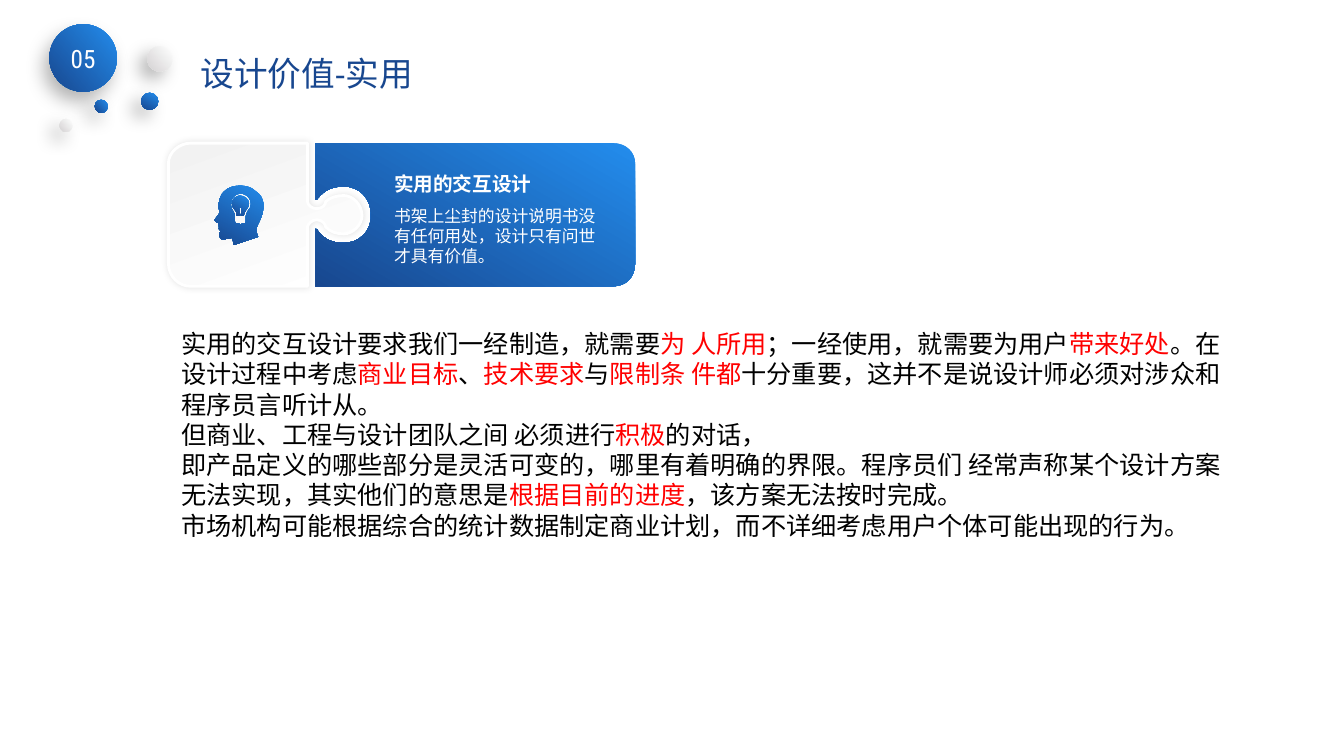
from lxml import etree
from pptx import Presentation
from pptx.dml.color import RGBColor
from pptx.enum import shapes, text
from pptx.oxml.ns import qn
from pptx.util import Inches, Pt

COLORS = {
    "sky": "238DED", "navy": "18478F", "white": "FFFFFF", "silver": "D4D2D3",
    "mist": "F2F2F2", "black": "000000", "red": "FF0000",
}
BLUE, GREY, PALE = ("sky", "navy"), ("white", "silver"), ("white", "mist")
CJK_FONT = "Noto Sans CJK SC"

prs = Presentation()
prs.slide_width, prs.slide_height = Inches(13.33), Inches(7.5)
s = prs.slides.add_slide(prs.slide_layouts[6])


def paint(sp, gradient, angle, shadow=None):
    """Gradient fill at a clockwise angle; shadow is (opacity %, blur pt, distance pt, direction)."""
    sp.shadow.inherit = False
    sp.line.fill.background()
    sp.fill.gradient()
    sp.fill.gradient_angle = 360 - angle
    for stop, name, position in zip(sp.fill.gradient_stops, gradient, (0, 1)):
        stop.color.rgb = RGBColor.from_string(COLORS[name])
        stop.position = position
    if shadow:
        opacity, blur, distance, direction = shadow
        effects = sp._element.spPr.find(qn("a:effectLst"))
        outer = etree.SubElement(effects, qn("a:outerShdw"), blurRad=str(Pt(blur)),
                                 dist=str(Pt(distance)), dir=str(direction * 60000),
                                 algn="ctr", rotWithShape="0")
        color = etree.SubElement(outer, qn("a:srgbClr"), val=COLORS["black"])
        etree.SubElement(color, qn("a:alpha"), val=str(opacity * 1000))


def add_outline(*contours):
    """Draw closed contours; two numbers make a line, six a Bezier curve."""
    x, y = contours[0][0]
    builder = s.shapes.build_freeform(Inches(x), Inches(y), scale=1.0)
    for i, (start, *segments) in enumerate(contours):
        if i:
            builder.move_to(*map(Inches, start))
        points = [seg[k:k + 2] for seg in segments for k in range(0, len(seg), 2)]
        builder.add_line_segments([tuple(map(Inches, pt)) for pt in points], close=True)
    sp = builder.convert_to_shape()
    lines = sp._element.iter(qn("a:lnTo"))
    steps = iter(list(lines))
    for seg in (seg for contour in contours for seg in contour[1:]):
        step = next(steps)
        if len(seg) == 6:
            curve = etree.Element(qn("a:cubicBezTo"))
            step.addprevious(curve)
            for corner in (step, next(steps), next(steps)):
                curve.append(corner[0])
                corner.getparent().remove(corner)
    return sp


# Corner dots, the first one carrying the section number
dots = []
for left, top, size, gradient, angle, shadow in [
    (0.49, 0.24, 0.67, BLUE, 140, (30, 14, 8, 120)),
    (1.46, 0.46, 0.25, GREY, 140, (30, 13, 8, 135)),
    (0.59, 1.18, 0.13, GREY, 140, (30, 13, 8, 135)),
    (0.94, 0.99, 0.13, BLUE, 140, (30, 13, 8, 135)),
    (1.40, 0.92, 0.17, BLUE, 120, (30, 13, 8, 135)),
]:
    dot = s.shapes.add_shape(shapes.MSO_SHAPE.OVAL, Inches(left), Inches(top),
                             Inches(size), Inches(size))
    paint(dot, gradient, angle, shadow)
    dots.append(dot)

# Puzzle card
icon_piece = add_outline([
    (3.05, 2.25), (3.05, 2.23, 3.09, 2.18, 3.14, 2.18), (3.2, 2.18, 3.23, 2.23, 3.23, 2.25),
    (3.27, 2.3, 3.34, 2.32, 3.41, 2.32), (3.5, 2.32, 3.59, 2.23, 3.59, 2.14),
    (3.59, 2.03, 3.5, 1.94, 3.41, 1.94), (3.34, 1.94, 3.27, 1.96, 3.23, 2),
    (3.23, 2.03, 3.2, 2.07, 3.14, 2.07), (3.09, 2.07, 3.05, 2.03, 3.05, 2),
    (3.05, 1.42), (1.89, 1.42), (1.78, 1.42, 1.67, 1.51, 1.67, 1.62),
    (1.67, 2.61), (1.67, 2.75, 1.78, 2.84, 1.89, 2.84), (3.05, 2.84), (3.05, 2.25),
])
paint(icon_piece, PALE, 250, (11, 5, 0, 0))
icon_piece.line.color.rgb = RGBColor.from_string(COLORS["white"])
icon_piece.line.width = Pt(2)

text_piece = add_outline([
    (6.08, 1.42), (3.13, 1.42), (3.13, 1.98), (3.13, 1.98, 3.16, 1.98, 3.16, 1.96),
    (3.22, 1.89, 3.29, 1.85, 3.41, 1.85), (3.56, 1.85, 3.68, 1.96, 3.68, 2.14),
    (3.68, 2.3, 3.56, 2.41, 3.41, 2.41), (3.29, 2.41, 3.22, 2.37, 3.16, 2.3),
    (3.16, 2.27, 3.13, 2.27, 3.13, 2.27), (3.13, 2.84), (6.08, 2.84),
    (6.21, 2.84, 6.3, 2.75, 6.3, 2.61), (6.3, 1.62), (6.3, 1.51, 6.21, 1.42, 6.08, 1.42),
])
bulb = add_outline([
    (2.38, 1.94), (2.34, 1.94, 2.3, 1.98, 2.3, 2.02), (2.3, 2.04, 2.31, 2.06, 2.32, 2.07),
    (2.34, 2.09, 2.35, 2.11, 2.35, 2.13), (2.35, 2.14), (2.38, 2.14), (2.38, 2.13),
    (2.38, 2.12, 2.38, 2.09, 2.37, 2.06), (2.4, 2.06), (2.4, 2.08, 2.39, 2.1, 2.39, 2.13),
    (2.39, 2.14), (2.42, 2.14), (2.42, 2.13), (2.42, 2.11, 2.44, 2.09, 2.45, 2.07),
    (2.46, 2.06, 2.47, 2.04, 2.47, 2.02), (2.47, 1.98, 2.43, 1.94, 2.38, 1.94),
])
head = add_outline([
    (2.54, 1.9), (2.49, 1.85, 2.41, 1.83, 2.31, 1.85), (2.24, 1.87, 2.18, 1.92, 2.17, 2.02),
    (2.16, 2.05, 2.17, 2.07, 2.17, 2.07), (2.17, 2.08, 2.18, 2.09, 2.18, 2.11),
    (2.13, 2.18), (2.13, 2.18, 2.12, 2.19, 2.13, 2.19), (2.13, 2.21, 2.16, 2.2, 2.16, 2.21),
    (2.17, 2.21, 2.17, 2.22, 2.17, 2.23), (2.17, 2.23, 2.16, 2.24, 2.17, 2.25), (2.18, 2.25),
    (2.17, 2.26), (2.17, 2.27, 2.17, 2.28, 2.18, 2.28), (2.18, 2.28, 2.19, 2.3, 2.18, 2.32),
    (2.18, 2.34, 2.17, 2.35, 2.19, 2.37), (2.2, 2.38, 2.26, 2.37, 2.3, 2.36),
    (2.3, 2.36, 2.31, 2.38, 2.32, 2.43), (2.56, 2.35), (2.55, 2.32, 2.54, 2.3, 2.54, 2.28),
    (2.54, 2.25, 2.58, 2.2, 2.6, 2.13), (2.62, 2.06, 2.63, 1.96, 2.54, 1.9),
], [
    (2.46, 2.09), (2.45, 2.11, 2.44, 2.13, 2.44, 2.14), (2.44, 2.2),
    (2.44, 2.21, 2.43, 2.22, 2.42, 2.22), (2.4, 2.22), (2.4, 2.22, 2.39, 2.23, 2.39, 2.23),
    (2.38, 2.23, 2.38, 2.22, 2.37, 2.22), (2.35, 2.22), (2.34, 2.22, 2.33, 2.21, 2.33, 2.2),
    (2.33, 2.14), (2.33, 2.13, 2.32, 2.11, 2.31, 2.09), (2.29, 2.07, 2.29, 2.05, 2.29, 2.02),
    (2.29, 1.97, 2.33, 1.92, 2.39, 1.92), (2.44, 1.92, 2.49, 1.97, 2.49, 2.02),
    (2.49, 2.05, 2.48, 2.07, 2.46, 2.09),
])
for part in (text_piece, bulb, head):
    paint(part, BLUE, 120)
s.shapes.add_group_shape([bulb, head])
card_text = s.shapes.add_group_shape()

# Text: the parts between bars are highlighted in red
number_frame = dots[0].text_frame
for side in ("left", "right", "top", "bottom"):
    setattr(number_frame, f"margin_{side}", 0)
number_frame.vertical_anchor = text.MSO_ANCHOR.MIDDLE
labels = [(number_frame, ["05"], "white",
           {"size": Pt(18), "name": "Roboto Condensed"}, text.PP_ALIGN.CENTER)]

body = [
    "实用的交互设计要求我们一经制造，就需要|为 人所用|；一经使用，就需要为用户|带来好处|。"
    "在设计过程中考虑|商业目标|、|技术要求|与|限制条 件都|十分重要，"
    "这并不是说设计师必须对涉众和程序员言听计从。",
    "但商业、工程与设计团队之间 必须进行|积极|的对话，",
    "即产品定义的哪些部分是灵活可变的，哪里有着明确的界限。程序员们 经常声称某个设计方案"
    "无法实现，其实他们的意思是|根据目前的进度|，该方案无法按时完成。",
    "市场机构可能根据综合的统计数据制定商业计划，而不详细考虑用户个体可能出现的行为。",
]
for parent, box, paragraphs, color, font in [
    (card_text, (3.81, 1.99, 2.35, 0.71),
     ["书架上尘封的设计说明书没有任何用处，设计只有问世才具有价值。"],
     "white", {"size": Pt(12), "name": CJK_FONT}),
    (card_text, (3.81, 1.66, 2.5, 0.57), ["实用的交互设计"],
     "white", {"size": Pt(14), "name": CJK_FONT, "bold": True}),
    (s, (1.7, 3.21, 10.68, 2.22), body, "black", {"size": Pt(18), "name": "Calibri"}),
    (s, (1.89, 0.48, 2.65, 0.5), ["设计价值-实用"],
     "navy", {"size": Pt(24), "name": "Open Sans"}),
]:
    tf = parent.shapes.add_textbox(*map(Inches, box)).text_frame
    tf.word_wrap = True
    labels.append((tf, paragraphs, color, font, text.PP_ALIGN.LEFT))

for tf, paragraphs, color, font, align in labels:
    for i, line in enumerate(paragraphs):
        p = tf.add_paragraph() if i else tf.paragraphs[0]
        p.alignment = align
        p.line_spacing = Pt(round(font["size"].pt * 1.2, 1))
        for j, part in enumerate(line.split("|")):
            r = p.add_run()
            r.text = part
            for key, value in font.items():
                setattr(r.font, key, value)
            r.font.color.rgb = RGBColor.from_string(COLORS["red" if j % 2 else color])
            etree.SubElement(r.font._element, qn("a:ea"), typeface=CJK_FONT)

prs.save("out.pptx")
